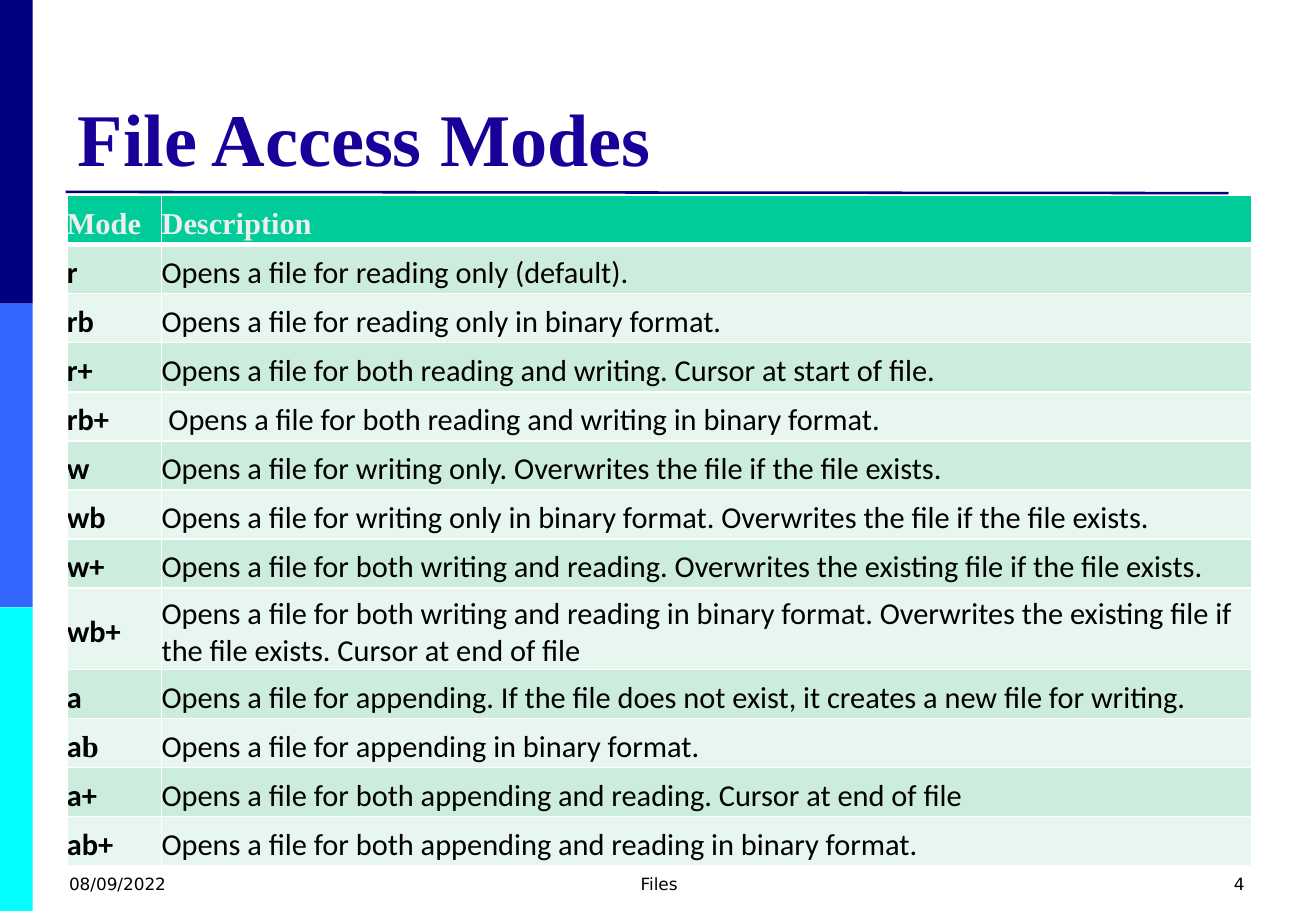
from lxml.etree import SubElement
from pptx import Presentation
from pptx.dml.color import RGBColor
from pptx.enum.shapes import MSO_CONNECTOR, MSO_SHAPE
from pptx.enum.text import MSO_ANCHOR, MSO_AUTO_SIZE, PP_ALIGN
from pptx.oxml.ns import qn
from pptx.util import Inches, Pt

ACCESS_MODES = [
    ("r", "Opens a file for reading only (default)."),
    ("rb", "Opens a file for reading only in binary format."),
    ("r+", "Opens a file for both reading and writing. Cursor at start of file."),
    ("rb+", " Opens a file for both reading and writing in binary format."),
    ("w", "Opens a file for writing only. Overwrites the file if the file exists."),
    ("wb", "Opens a file for writing only in binary format. Overwrites the file if the file exists."),
    ("w+", "Opens a file for both writing and reading. Overwrites the existing file if the file exists."),
    ("wb+", "Opens a file for both writing and reading in binary format. "
            "Overwrites the existing file if the file exists. Cursor at end of file"),
    ("a", "Opens a file for appending. If the file does not exist, it creates a new file for writing."),
    ("a", "Opens a file for appending in binary format."),
    ("a+", "Opens a file for both appending and reading. Cursor at end of file"),
    ("ab+", "Opens a file for both appending and reading in binary format."),
]
WRAPPED_ROW = 8
AB_ROW = 10


def color(hex_code):
    return RGBColor.from_string(hex_code)


def write(paragraph, text, font="Calibri", size=18, ink="000000", bold=False, align=PP_ALIGN.LEFT):
    paragraph.alignment = align
    run = paragraph.add_run()
    run.text = text
    run.font.name = font
    run.font.size = Pt(size)
    run.font.bold = bold
    run.font.color.rgb = color(ink)


class SlideBuilder:
    """Holds the style and the current slide, and adds each kind of element."""

    serif = "Times New Roman"
    footer_font = "DejaVu Sans"
    navy = "000080"
    title_ink = "170199"
    header_fill = "00CC99"
    header_ink = "EEEEEE"
    bands = ("E7F6EF", "CCECDE")
    border = "FFFFFF"

    def __init__(self, presentation):
        self.slide = presentation.slides.add_slide(presentation.slide_layouts[5])

    def title(self, text, left, top, width, height):
        title = self.slide.shapes.title
        title.left, title.top = Inches(left), Inches(top)
        title.width, title.height = Inches(width), Inches(height)
        frame = title.text_frame
        frame.auto_size = MSO_AUTO_SIZE.NONE
        frame.vertical_anchor = MSO_ANCHOR.BOTTOM
        write(frame.paragraphs[0], text, font=self.serif, size=44, ink=self.title_ink, bold=True)

    def bar(self, left, top, width, height, fill):
        bar = self.slide.shapes.add_shape(
            MSO_SHAPE.RECTANGLE, Inches(left), Inches(top), Inches(width), Inches(height))
        bar.shadow.inherit = False
        bar.fill.solid()
        bar.fill.fore_color.rgb = color(fill)
        bar.line.fill.background()

    def rule(self, x1, y1, x2, y2):
        rule = self.slide.shapes.add_connector(
            MSO_CONNECTOR.STRAIGHT, Inches(x1), Inches(y1), Inches(x2), Inches(y2))
        rule.line.color.rgb = color(self.navy)
        rule.line.width = Pt(1.5)
        SubElement(rule._element.spPr, qn("a:effectLst"))

    def footer(self, text, left, top, width, height, align):
        footer = self.slide.shapes.add_textbox(
            Inches(left), Inches(top), Inches(width), Inches(height))
        footer.text_frame.word_wrap = True
        write(footer.text_frame.paragraphs[0], text, font=self.footer_font, size=10, align=align)

    def borders(self, cell, top, bottom):
        properties = cell._tc.get_or_add_tcPr()
        for side, points in (("lnL", 1), ("lnR", 1), ("lnT", top), ("lnB", bottom)):
            edge = SubElement(properties, qn(f"a:{side}"), w=str(Pt(points)))
            fill = SubElement(edge, qn("a:solidFill"))
            SubElement(fill, qn("a:srgbClr"), val=self.border)

    def cell(self, cell, text, fill, top=1, bottom=1, **text_format):
        self.borders(cell, top, bottom)
        cell.fill.solid()
        cell.fill.fore_color.rgb = color(fill)
        cell.margin_left = cell.margin_bottom = 0
        cell.margin_top = cell.margin_right = Inches(0.06)
        cell.vertical_anchor = MSO_ANCHOR.MIDDLE
        write(cell.text_frame.paragraphs[0], text, **text_format)

    def table(self, headings, rows, left, top, widths, height, wrapped_row, wrapped_height):
        table = self.slide.shapes.add_table(
            len(rows) + 1, len(widths), Inches(left), Inches(top),
            Inches(sum(widths)), Inches(height)).table
        for column, width in zip(table.columns, widths):
            column.width = Inches(width)
        for number, row in enumerate(table.rows):
            row.height = Inches(
                wrapped_height if number == wrapped_row else (height - wrapped_height) / len(rows))
        for column, heading in enumerate(headings):
            self.cell(table.cell(0, column), heading, self.header_fill, bottom=3,
                      font=self.serif, ink=self.header_ink, bold=True)
        for number, texts in enumerate(rows, start=1):
            for column, text in enumerate(texts):
                self.cell(table.cell(number, column), text, self.bands[number % 2],
                          top=3 if number == 1 else 1, bold=column == 0)
        return table


def main():
    presentation = Presentation()
    presentation.slide_width = Inches(10.83)
    presentation.slide_height = Inches(7.5)
    builder = SlideBuilder(presentation)

    for position, fill in enumerate((builder.navy, "3366FF", "00FFFF")):
        builder.bar(0, position * 2.5, 0.27, 2.5, fill)
    builder.rule(0.54, 1.58, 10.11, 1.59)
    builder.title("File Access Modes", 0.54, 0.3, 9.75, 1.24)

    modes = builder.table(("Mode", "Description"), ACCESS_MODES, 0.55, 1.61,
                          (0.78, 8.97), 5.52, WRAPPED_ROW, 0.67)
    write(modes.cell(AB_ROW, 0).text_frame.paragraphs[0], "b", font=builder.serif, bold=True)

    for text, left, width, align in (
            ("08/09/2022", 0.47, 2.53, PP_ALIGN.LEFT),
            ("Files", 3.71, 3.43, PP_ALIGN.CENTER),
            ("4", 7.81, 2.53, PP_ALIGN.RIGHT)):
        builder.footer(text, left, 7.14, width, 0.36, align)

    presentation.save("out.pptx")


if __name__ == "__main__":
    main()
